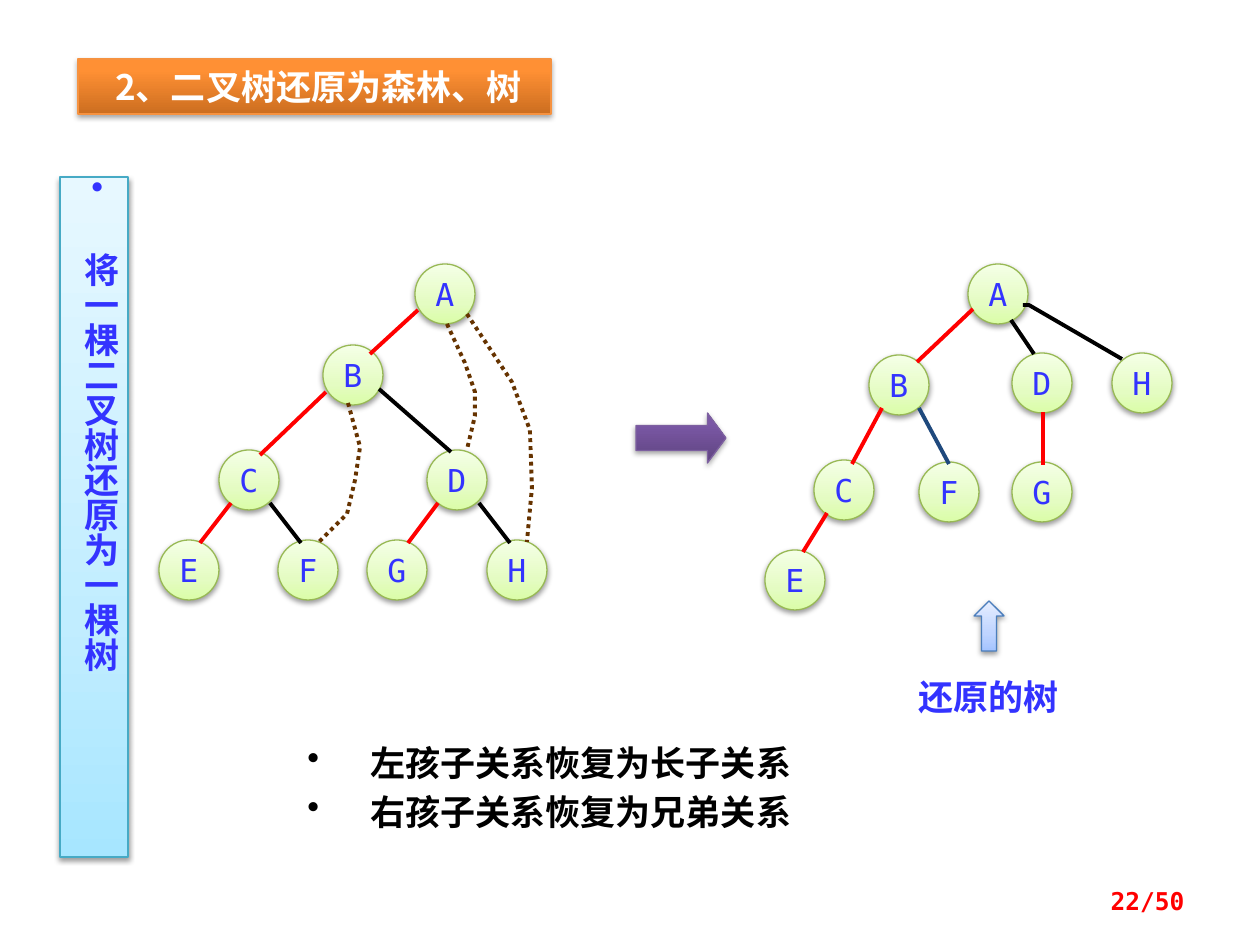
from copy import deepcopy
from dataclasses import dataclass

from lxml import etree
from pptx import Presentation
from pptx import util as u
from pptx.dml.color import RGBColor
from pptx.enum import dml, shapes, text
from pptx.oxml.ns import qn

PX = 914400 / 126
NODE_SIZE = 60
MONO = "DejaVu Sans Mono"
CJK = "Noto Sans CJK SC"
BULLET_INDENT = 63

COLORS = {
    "label": "3333FF",
    "eldest": "FF0000",
    "sibling": "000000",
    "restored": "1F497D",
    "hidden": "663300",
    "white": "FFFFFF",
    "black": "000000",
    "page": "FF0000",
}


@dataclass(frozen=True)
class Look:
    """Gradient stops from bottom to top, outline, and shadow strength in percent."""
    stops: tuple[tuple[float, str], ...]
    outline: str
    shadow: int


@dataclass(frozen=True)
class Node:
    letter: str
    x: int
    y: int


@dataclass(frozen=True)
class Edge:
    color: str
    points: tuple[tuple[int, int], ...]
    dotted: bool = False


LOOKS = {
    "node": Look(((0, "DAFDA7"), (0.35, "E4FCC2"), (1, "F5FFE7")), "98B955", 38),
    "side": Look(((0, "A7E6FF"), (0.35, "C1EDFF"), (1, "E7F8FF")), "46AAC5", 38),
    "title": Look(((0, "CC6E20"), (0.8, "FF9034"), (1, "FF9136")), "F69240", 35),
    "convert": Look(((0, "5F4480"), (0.8, "7B58A6"), (1, "7C57A8")), "7D60A0", 35),
    "pointer": Look(((0, "A4C4FF"), (0.35, "BFD4FF"), (1, "E6EEFF")), "4B7EBC", 38),
}

BINARY_NODES = (
    Node("A", 445, 294), Node("B", 353, 375), Node("C", 249, 480), Node("D", 457, 480),
    Node("E", 189, 570), Node("F", 308, 570), Node("G", 397, 570), Node("H", 517, 570),
)
BINARY_EDGES = (
    Edge("eldest", ((418, 310), (370, 354))),
    Edge("eldest", ((326, 392), (260, 455))),
    Edge("eldest", ((231, 503), (200, 543))),
    Edge("eldest", ((438, 503), (408, 543))),
    Edge("sibling", ((379, 389), (451, 452))),
    Edge("sibling", ((270, 503), (301, 543))),
    Edge("sibling", ((479, 503), (510, 543))),
    Edge("hidden", ((447, 324), (465, 363), (475, 392), (475, 416), (467, 450)), True),
    Edge("hidden", ((348, 403), (360, 447), (355, 480), (347, 514), (319, 542)), True),
    Edge("hidden", ((467, 314), (512, 382), (530, 430), (532, 488), (527, 542)), True),
)
TREE_NODES = (
    Node("A", 998, 294), Node("B", 899, 385), Node("C", 844, 490), Node("D", 1042, 383),
    Node("E", 795, 580), Node("F", 949, 492), Node("G", 1042, 492), Node("H", 1142, 383),
)
TREE_EDGES = (
    Edge("sibling", ((1023, 305), (1029, 305), (1122, 359))),
    Edge("eldest", ((973, 309), (917, 362))),
    Edge("eldest", ((882, 408), (852, 464))),
    Edge("eldest", ((1043, 412), (1043, 465))),
    Edge("eldest", ((827, 513), (803, 552))),
    Edge("sibling", ((1011, 320), (1034, 354))),
    Edge("restored", ((919, 408), (949, 464))),
)


def emu(*lengths: int) -> list[int]:
    return [round(length * PX) for length in lengths]


def rgb(name: str) -> RGBColor:
    return RGBColor.from_string(COLORS[name])


def add_block(slide, kind, box: tuple[int, int, int, int], look: Look):
    """Add a preset shape with a vertical gradient, thin outline and soft shadow."""
    block = slide.shapes.add_shape(kind, *emu(*box))
    fill = block.fill
    fill.gradient()
    fill.gradient_angle = 90
    properties = block.element.spPr
    stop_list = properties.find(".//" + qn("a:gsLst"))
    stop_list.append(deepcopy(stop_list[-1]))
    for stop, (position, color) in zip(fill.gradient_stops, look.stops):
        stop.position = position
        stop.color.rgb = RGBColor.from_string(color)
    block.line.color.rgb = RGBColor.from_string(look.outline)
    block.line.width = u.Pt(0.75)
    block.shadow.inherit = False
    shadow = etree.SubElement(
        properties.find(qn("a:effectLst")), qn("a:outerShdw"), blurRad=str(u.Pt(3.1)),
        dist=str(u.Pt(1.7)), dir="5400000", rotWithShape="0")
    shade = etree.SubElement(shadow, qn("a:srgbClr"), val=COLORS["black"])
    etree.SubElement(shade, qn("a:alpha"), val=str(look.shadow * 1000))
    return block


def write(holder, *lines: str, size=20, font=MONO, color="label", bold=True,
          align=text.PP_ALIGN.LEFT, anchor=text.MSO_ANCHOR.TOP, wrap=True, grow=False,
          bullet=False, spacing=None, vertical=False) -> None:
    frame = holder.text_frame
    frame.word_wrap = wrap
    frame.vertical_anchor = anchor
    if grow:
        frame.auto_size = text.MSO_AUTO_SIZE.SHAPE_TO_FIT_TEXT
    if vertical:
        holder.element.txBody.bodyPr.set("vert", "eaVert")
    for index, line in enumerate(lines):
        paragraph = frame.add_paragraph() if index else frame.paragraphs[0]
        if bullet:
            properties = paragraph._p.get_or_add_pPr()
            indent = emu(BULLET_INDENT)[0]
            properties.set("marL", str(indent))
            properties.set("indent", str(-indent))
            etree.SubElement(properties, qn("a:buChar"), char="•")
        paragraph.alignment = align
        if spacing:
            paragraph.line_spacing = u.Pt(spacing)
        run = paragraph.add_run()
        run.text = line
        run.font.size = u.Pt(size)
        run.font.bold = bold
        run.font.color.rgb = rgb(color)
        run.font.name = font
        etree.SubElement(run._r.get_or_add_rPr(), qn("a:ea"), typeface=CJK)


def draw_node(slide, node: Node) -> None:
    half = NODE_SIZE // 2
    circle = add_block(slide, shapes.MSO_SHAPE.OVAL,
                       (node.x - half, node.y - half, NODE_SIZE, NODE_SIZE), LOOKS["node"])
    write(circle, node.letter, size=18, bold=False, wrap=False,
          align=text.PP_ALIGN.CENTER, anchor=text.MSO_ANCHOR.MIDDLE)


def draw_edge(slide, edge: Edge) -> None:
    start, *rest = edge.points
    if len(rest) == 1:
        stroke = slide.shapes.add_connector(
            shapes.MSO_CONNECTOR.STRAIGHT, *emu(*start, *rest[0]))
        etree.SubElement(stroke.element.spPr, qn("a:effectLst"))
    else:
        builder = slide.shapes.build_freeform(*start, scale=PX)
        builder.add_line_segments(rest, close=False)
        stroke = builder.convert_to_shape()
        stroke.fill.background()
        stroke.shadow.inherit = False
    stroke.line.color.rgb = rgb(edge.color)
    stroke.line.width = u.Pt(2.25)
    if edge.dotted:
        stroke.line.dash_style = dml.MSO_LINE.ROUND_DOT


def draw_tree(slide, nodes: tuple[Node, ...], edges: tuple[Edge, ...]) -> None:
    for node in nodes:
        draw_node(slide, node)
    for edge in edges:
        draw_edge(slide, edge)


def main() -> None:
    deck = Presentation()
    deck.slide_width, deck.slide_height = emu(1260, 945)
    slide = deck.slides.add_slide(deck.slide_layouts[6])
    kinds = shapes.MSO_SHAPE

    draw_tree(slide, BINARY_NODES, BINARY_EDGES)
    convert = add_block(slide, kinds.RIGHT_ARROW, (636, 413, 90, 50), LOOKS["convert"])
    convert.adjustments[1] = 0.37
    draw_tree(slide, TREE_NODES, TREE_EDGES)

    side = add_block(slide, kinds.RECTANGLE, (60, 177, 68, 680), LOOKS["side"])
    write(side, "将一棵二叉树还原为一棵树", align=text.PP_ALIGN.CENTER,
          bullet=True, vertical=True, grow=True)
    title = add_block(slide, kinds.RECTANGLE, (78, 59, 473, 55), LOOKS["title"])
    write(title, " 2、二叉树还原为森林、树", font=CJK, color="white",
          align=text.PP_ALIGN.CENTER, grow=True)

    caption = slide.shapes.add_textbox(*emu(906, 669, 184, 55))
    write(caption, "还原的树", font=CJK, grow=True)
    add_block(slide, kinds.UP_ARROW, (974, 601, 30, 50), LOOKS["pointer"])

    rules = slide.shapes.add_shape(kinds.RECTANGLE, *emu(295, 728, 512, 108))
    rules.fill.solid()
    rules.fill.fore_color.rgb = rgb("white")
    rules.line.fill.background()
    rules.shadow.inherit = False
    write(rules, "左孩子关系恢复为长子关系", "右孩子关系恢复为兄弟关系",
          color="black", bullet=True, spacing=28, grow=True)

    page = slide.shapes.add_textbox(*emu(903, 876, 294, 50))
    write(page, "22/50", size=14, color="page",
          align=text.PP_ALIGN.RIGHT, anchor=text.MSO_ANCHOR.MIDDLE)
    deck.save("out.pptx")


if __name__ == "__main__":
    main()
